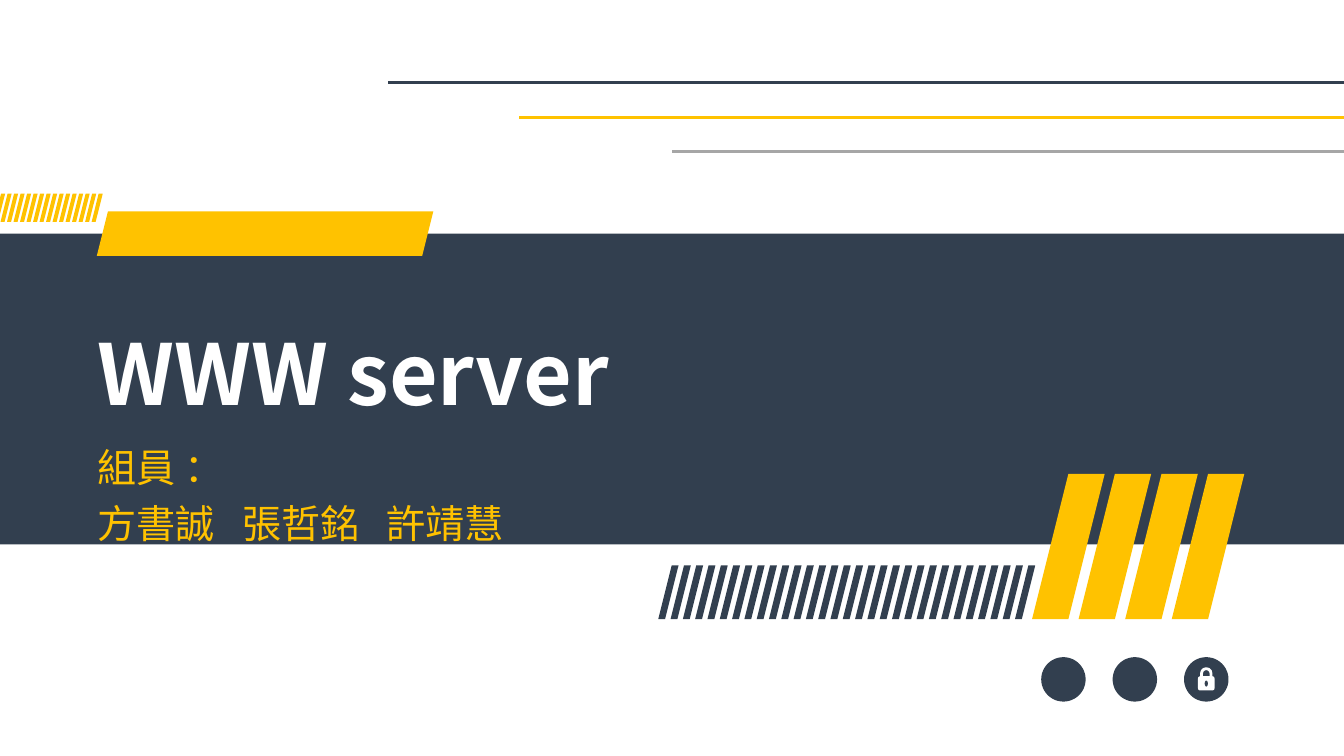
"""Build the opening slide of a talk on WWW servers."""
from dataclasses import dataclass

from pptx import Presentation
from pptx import util as u
from pptx.dml.color import RGBColor
from pptx.enum import shapes, text
from pptx.oxml.ns import qn


@dataclass(frozen=True)
class Theme:
    """Colours, font and sizes of the slide."""
    navy: str = "323F4F"
    yellow: str = "FFC200"
    grey: str = "A6A6A6"
    white: str = "FFFFFF"
    font: str = "Noto Sans CJK SC"
    title_size: float = 60
    member_size: float = 28
    rule_width: float = 2.25
    shackle_width: float = 2


THEME = Theme()
SLIDE_WIDTH, SLIDE_HEIGHT = 33.87, 19.05


def place(shape, left, top, width, height):
    """Position a shape with lengths in centimetres."""
    shape.left, shape.top = u.Cm(left), u.Cm(top)
    shape.width, shape.height = u.Cm(width), u.Cm(height)


def add_block(slide, kind, box, fill=None, line=None, line_width=1):
    """Add a preset shape with a plain fill or outline."""
    shape = slide.shapes.add_shape(kind, *map(u.Cm, box))
    shape.shadow.inherit = False
    if fill:
        shape.fill.solid()
        shape.fill.fore_color.rgb = RGBColor.from_string(fill)
    else:
        shape.fill.background()
    if line:
        shape.line.color.rgb = RGBColor.from_string(line)
        shape.line.width = u.Pt(line_width)
    else:
        shape.line.fill.background()
    return shape


def add_slant(slide, box, color):
    """Add a parallelogram that leans by a quarter of its height."""
    shape = add_block(slide, shapes.MSO_SHAPE.PARALLELOGRAM, box, color)
    width, height = box[2:]
    shape.adjustments[0] = height / 4 / min(width, height)


def add_stripes(slide, count, first, last, top, width, height, color):
    """Add equally spaced slanted stripes from first to last left edge."""
    step = (last - first) / (count - 1)
    for index in range(count):
        add_slant(slide, (first + index * step, top, width, height), color)


def add_rule(slide, left, top, color):
    """Add a horizontal line that runs to the right edge."""
    rule = slide.shapes.add_connector(
        shapes.MSO_CONNECTOR.STRAIGHT,
        u.Cm(left), u.Cm(top), u.Cm(SLIDE_WIDTH), u.Cm(top))
    rule.line.color.rgb = RGBColor.from_string(color)
    rule.line.width = u.Pt(THEME.rule_width)
    properties = rule.element.spPr
    properties.append(properties.makeelement(qn("a:effectLst"), {}))


def add_disc(slide, center_x, center_y, diameter):
    """Add a navy circle around a centre."""
    box = (center_x - diameter / 2, center_y - diameter / 2, diameter, diameter)
    add_block(slide, shapes.MSO_SHAPE.OVAL, box, THEME.navy)


def add_padlock(slide, center_x, center_y):
    """Add a white padlock around a centre."""
    rounded = shapes.MSO_SHAPE.ROUNDED_RECTANGLE
    shackle = add_block(
        slide, rounded, (center_x - 0.12, center_y - 0.27, 0.24, 0.42),
        line=THEME.white, line_width=THEME.shackle_width)
    shackle.adjustments[0] = 0.5
    add_block(slide, rounded,
              (center_x - 0.21, center_y - 0.08, 0.42, 0.36), THEME.white)
    add_block(slide, shapes.MSO_SHAPE.OVAL,
              (center_x - 0.04, center_y + 0.03, 0.08, 0.15), THEME.navy)


def write_text(shape, lines, size, color, bold=False,
               align=text.PP_ALIGN.LEFT, tabs=()):
    """Fill a shape with formatted paragraphs."""
    frame = shape.text_frame
    frame.word_wrap = True
    frame.auto_size = text.MSO_AUTO_SIZE.NONE
    frame.vertical_anchor = text.MSO_ANCHOR.TOP
    for index, line in enumerate(lines):
        paragraph = frame.add_paragraph() if index else frame.paragraphs[0]
        paragraph.alignment = align
        paragraph.line_spacing = 1.2
        run = paragraph.add_run()
        run.text = line
        run.font.name = THEME.font
        run.font.size = u.Pt(size)
        run.font.bold = bold
        run.font.color.rgb = RGBColor.from_string(color)
        properties = run.font._element
        latin = properties.find(qn("a:latin"))
        latin.addnext(properties.makeelement(
            qn("a:ea"), {"typeface": THEME.font}))
        if tabs:
            settings = paragraph._p.get_or_add_pPr()
            stops = settings.makeelement(qn("a:tabLst"), {})
            settings.append(stops)
            for position in tabs:
                stops.append(stops.makeelement(
                    qn("a:tab"), {"pos": str(u.Cm(position)), "algn": "l"}))


def add_decoration(slide):
    """Add the band, rules, stripes and icons."""
    add_block(slide, shapes.MSO_SHAPE.RECTANGLE,
              (0, 5.89, SLIDE_WIDTH, 7.83), THEME.navy)
    rules = ((9.78, 2.08, THEME.navy), (13.08, 2.95, THEME.yellow),
             (16.94, 3.81, THEME.grey))
    for left, top, color in rules:
        add_rule(slide, left, top, color)
    add_slant(slide, (2.44, 5.33, 8.48, 1.12), THEME.yellow)
    add_stripes(slide, 4, 26.01, 29.53, 11.94, 1.83, 3.66, THEME.yellow)
    add_stripes(slide, 30, 16.59, 25.58, 14.25, 0.51, 1.35, THEME.navy)
    add_stripes(slide, 16, -0.15, 2.31, 4.88, 0.28, 0.71, THEME.yellow)
    icon_y = 17.12
    icon_centers = [26.8 + 1.8 * index for index in range(3)]
    for center_x in icon_centers:
        add_disc(slide, center_x, icon_y, 1.12)
    add_padlock(slide, icon_centers[-1], icon_y)


def main():
    """Build and save the presentation."""
    presentation = Presentation()
    presentation.slide_width = u.Cm(SLIDE_WIDTH)
    presentation.slide_height = u.Cm(SLIDE_HEIGHT)
    slide = presentation.slides.add_slide(presentation.slide_layouts[5])
    add_decoration(slide)

    title = slide.shapes.title
    place(title, 2.21, 7.47, 24.38, 3.07)
    write_text(title, ["WWW server"], THEME.title_size, THEME.white,
               bold=True, align=text.PP_ALIGN.JUSTIFY)
    title.element.getparent().append(title.element)

    members = slide.shapes.add_textbox(0, 0, 0, 0)
    place(members, 2.21, 10.8, 18.59, 3)
    names = "\t".join(("方書誠", "張哲銘", "許靖慧"))
    write_text(members, ["組員 ：", names], THEME.member_size, THEME.yellow,
               tabs=(3.64, 7.28))
    presentation.save("out.pptx")


if __name__ == "__main__":
    main()
